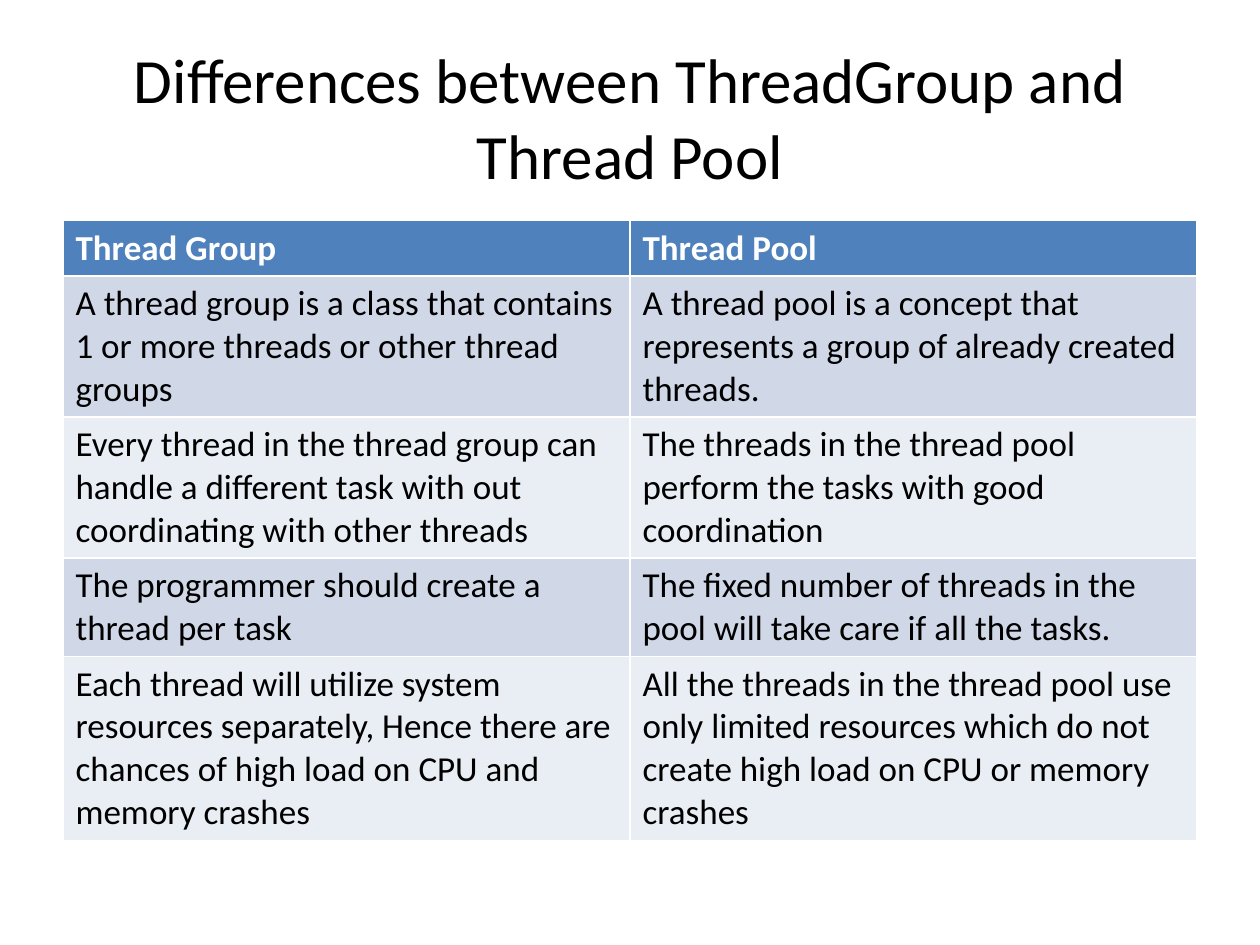
"""Build a slide that compares thread groups with thread pools in a table."""
from pptx import Presentation
from pptx.dml.color import RGBColor as Rgb
from pptx.enum.text import MSO_ANCHOR as Anchor, PP_ALIGN as Align
from pptx.util import Inches, Pt

HUES = {"head": "4F81BD", "odd": "D0D8E8", "even": "E9EDF4",
        "white": "FFFFFF", "black": "000000"}
ROWS = [
    (1, "Thread Group", "Thread Pool"),
    (3, "A thread group is a class that contains 1 or more threads or other thread groups",
     "A thread pool is a concept that represents a group of already created threads."),
    (3, "Every thread in the thread group can handle a different task with out coordinating with other threads",
     "The threads in the thread pool perform the tasks with good coordination"),
    (2, "The programmer should create a thread per task",
     "The fixed number of threads in the pool will take care if all the tasks."),
    (4, "Each thread will utilize system resources separately, Hence there are chances of high load on CPU and memory crashes",
     "All the threads in the thread pool use only limited resources which do not create high load on CPU or memory crashes"),
]


def style(para, size, hue, bold=False):
    font = para.font
    font.name, font.size, font.bold = "Calibri", Pt(size), bold
    font.color.rgb = Rgb.from_string(HUES[hue])


deck = Presentation()
deck.slide_width, deck.slide_height = Inches(10), Inches(7.5)
wide, high = deck.slide_width, deck.slide_height
slide = deck.slides.add_slide(deck.slide_layouts[6])
left, span = int(wide * 0.05), int(wide * 0.9)

title = slide.shapes.add_textbox(left, int(high * 0.04), span, int(high / 6))
frame = title.text_frame
frame.word_wrap = True
frame.vertical_anchor = Anchor.MIDDLE
frame.text = "Differences between ThreadGroup and Thread Pool"
frame.paragraphs[0].alignment = Align.CENTER
style(frame.paragraphs[0], 36, "black")

tall = [Inches(0.1 + 0.34 * lines) for lines, *_ in ROWS]
grid = slide.shapes.add_table(len(ROWS), 2, left, int(high * 7 / 30), span, sum(tall)).table
for r, (_, *texts) in enumerate(ROWS):
    grid.rows[r].height = tall[r]
    band = "head" if r == 0 else "odd" if r % 2 else "even"
    for c, text in enumerate(texts):
        cell = grid.cell(r, c)
        cell.text = text
        cell.fill.solid()
        cell.fill.fore_color.rgb = Rgb.from_string(HUES[band])
        style(cell.text_frame.paragraphs[0], 20, "black" if r else "white", r == 0)

deck.save("out.pptx")
